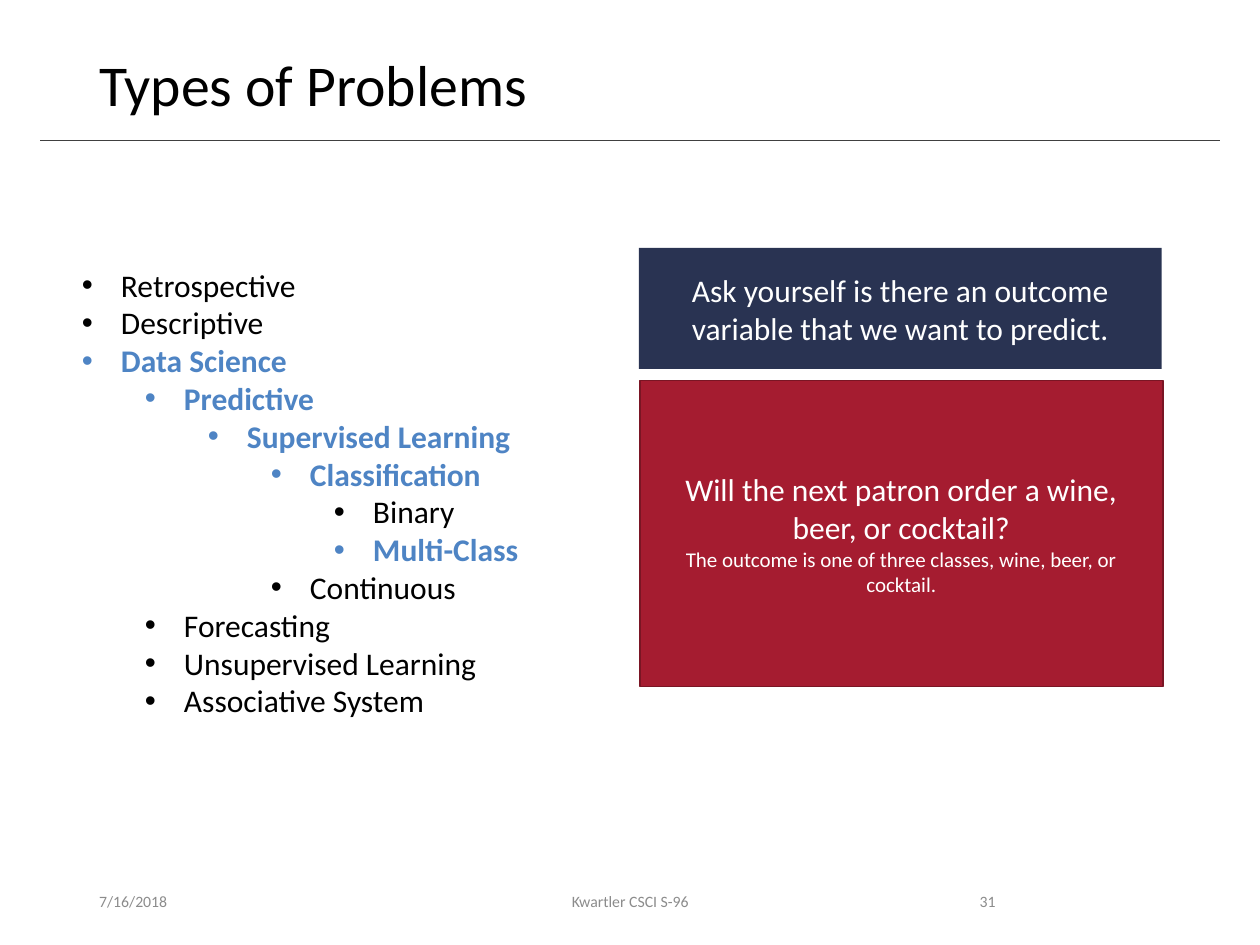
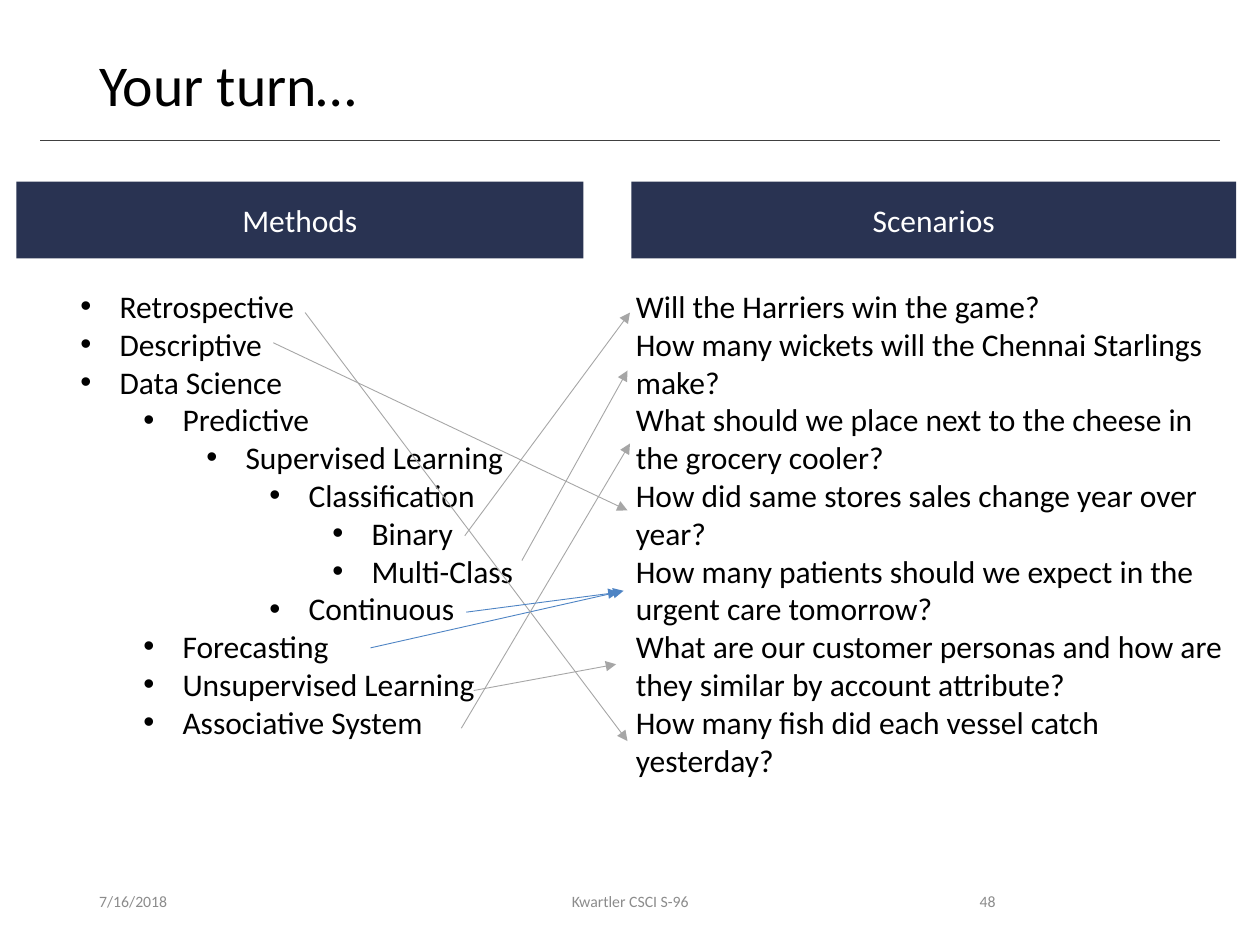
import pptx
import pptx.util
import pptx.dml.color
import pptx.enum.shapes
import pptx.enum.text
import pptx.oxml
import pptx.oxml.ns
import lxml.etree

Cm = pptx.util.Cm
Pt = pptx.util.Pt
Align = pptx.enum.text.PP_ALIGN
Anchor = pptx.enum.text.MSO_ANCHOR
FONT = "Calibri"
COLORS = {
    "ink": "000000", "paper": "FFFFFF", "foot": "8C8C8C", "rule": "404040",
    "navy": "293352", "red": "A51C30", "edge": "7A1524",
    "blue": "4E84C4", "gray": "A6A6A6",
}
TOPICS = [
    ("Retrospective", 0), ("Descriptive", 0), ("Data Science", 0),
    ("Predictive", 1), ("Supervised Learning", 2), ("Classification", 3),
    ("Binary", 4), ("Multi-Class", 4), ("Continuous", 3),
    ("Forecasting", 1), ("Unsupervised Learning", 1), ("Associative System", 1),
]
CHOSEN = {"Data Science", "Predictive", "Supervised Learning",
          "Classification", "Multi-Class"}
ASKS = [
    "Will the Harriers win the game?",
    "How many wickets will the Chennai Starlings make?",
    "What should we place next to the cheese in the grocery cooler?",
    "How did same stores sales change year over year?",
    "How many patients should we expect in the urgent care tomorrow?",
    "What are our customer personas and how are they similar by account attribute?",
    "How many fish did each vessel catch yesterday?",
]
LINKS = [
    (9.37, 10.8, 12.7, 6.3, "gray"),
    (10.52, 11.3, 12.65, 7.47, "gray"),
    (9.3, 14.68, 12.7, 8.94, "gray"),
    (7.47, 13.06, 12.57, 11.91, "blue"),
    (9.55, 13.92, 12.42, 13.39, "gray"),
    (6.15, 6.3, 12.65, 14.94, "gray"),
    (5.51, 6.91, 12.65, 10.29, "gray"),
    (9.4, 12.34, 12.47, 11.94, "blue"),
]


def tint(name):
    return pptx.dml.color.RGBColor.from_string(COLORS[name])


def style(para, size, color, bold=False):
    para.font.name = FONT
    para.font.size = Pt(size)
    para.font.bold = bold
    para.font.color.rgb = tint(color)


def write(frame, lines, color, align=Align.LEFT):
    frame.word_wrap = True
    for num, (text, size) in enumerate(lines):
        para = frame.add_paragraph() if num else frame.paragraphs[0]
        para.text = text
        para.alignment = align
        style(para, size, color)


def add_text(slide, box, lines, color="ink", align=Align.LEFT, anchor=Anchor.TOP):
    frame = slide.shapes.add_textbox(*map(Cm, box)).text_frame
    write(frame, lines, color, align)
    frame.vertical_anchor = anchor
    return frame


def add_panel(slide, box, lines, fill, edge=None):
    kind = pptx.enum.shapes.MSO_SHAPE.RECTANGLE
    panel = slide.shapes.add_shape(kind, *map(Cm, box))
    panel.shadow.inherit = False
    panel.fill.solid()
    panel.fill.fore_color.rgb = tint(fill)
    if edge:
        panel.line.color.rgb = tint(edge)
        panel.line.width = Pt(1)
    else:
        panel.line.fill.background()
    panel.text_frame.vertical_anchor = Anchor.MIDDLE
    write(panel.text_frame, lines, "paper", Align.CENTER)


def add_line(slide, ends, color, head=False):
    kind = pptx.enum.shapes.MSO_CONNECTOR.STRAIGHT
    line = slide.shapes.add_connector(kind, *map(Cm, ends))
    line.line.color.rgb = tint(color)
    line.line.width = Pt(0.5)
    tag = pptx.oxml.ns.qn
    props = line._element.spPr
    if head:
        tail = lxml.etree.SubElement(props.find(tag("a:ln")), tag("a:tailEnd"))
        tail.set("type", "triangle")
    lxml.etree.SubElement(props, tag("a:effectLst"))


def add_topics(slide, left, top, chosen=()):
    frame = slide.shapes.add_textbox(Cm(left), Cm(top), Cm(9.32), Cm(10.26)).text_frame
    frame.word_wrap = False
    frame.auto_size = pptx.enum.text.MSO_AUTO_SIZE.SHAPE_TO_FIT_TEXT
    tag = pptx.oxml.ns.qn
    for num, (text, level) in enumerate(TOPICS):
        para = frame.add_paragraph() if num else frame.paragraphs[0]
        para.text = text
        para.level = level
        props = para._p.get_or_add_pPr()
        props.set("marL", str(Cm(0.79 + 1.27 * level)))
        props.set("indent", str(Cm(-0.79)))
        lxml.etree.SubElement(props, tag("a:buFont")).set("typeface", "Arial")
        lxml.etree.SubElement(props, tag("a:buChar")).set("char", "•")
        picked = text in chosen
        style(para, 18, "blue" if picked else "ink", picked)


def add_page(deck, title, number):
    slide = deck.slides.add_slide(deck.slide_layouts[6])
    add_line(slide, (0.81, 2.84, 24.59, 2.84), "rule")
    head = add_text(slide, (1.75, 1.02, 21.89, 1.65), [(title, 33)])
    head.paragraphs[0].line_spacing = 0.9
    for text, left, width, align in (
        ("7/16/2018", 1.75, 5.72, Align.LEFT),
        ("Kwartler CSCI S-96", 8.41, 8.59, Align.CENTER),
        (number, 17.93, 2.39, Align.RIGHT),
    ):
        add_text(slide, (left, 17.65, width, 1.02), [(text, 9)],
                 "foot", align, Anchor.MIDDLE)
    return slide


def add_types(deck):
    slide = add_page(deck, "Types of Problems", "31")
    add_panel(slide, (12.88, 5, 10.54, 2.44), [
        ("Ask yourself is there an outcome variable that we want to predict.", 18),
    ], "navy")
    add_panel(slide, (12.9, 7.67, 10.54, 6.17), [
        ("Will the next patron order a wine, beer, or cocktail?", 18),
        ("The outcome is one of three classes, wine, beer, or cocktail.", 12),
    ], "red", "edge")
    add_topics(slide, 1.4, 5.23, CHOSEN)


def add_turn(deck):
    slide = add_page(deck, "Your turn…", "48")
    add_topics(slide, 1.37, 5.66)
    add_text(slide, (12.57, 5.66, 12.62, 10.26), [(ask, 18) for ask in ASKS])
    for text, left, width in (("Scenarios", 12.73, 12.19), ("Methods", 0.33, 11.43)):
        add_panel(slide, (left, 3.66, width, 1.55), [(text, 18)], "navy")
    for *ends, color in LINKS:
        add_line(slide, ends, color, head=True)


def main():
    deck = pptx.Presentation()
    deck.slide_width = Cm(25.4)
    deck.slide_height = Cm(19.05)
    add_types(deck)
    add_turn(deck)
    deck.save("out.pptx")


if __name__ == "__main__":
    main()
